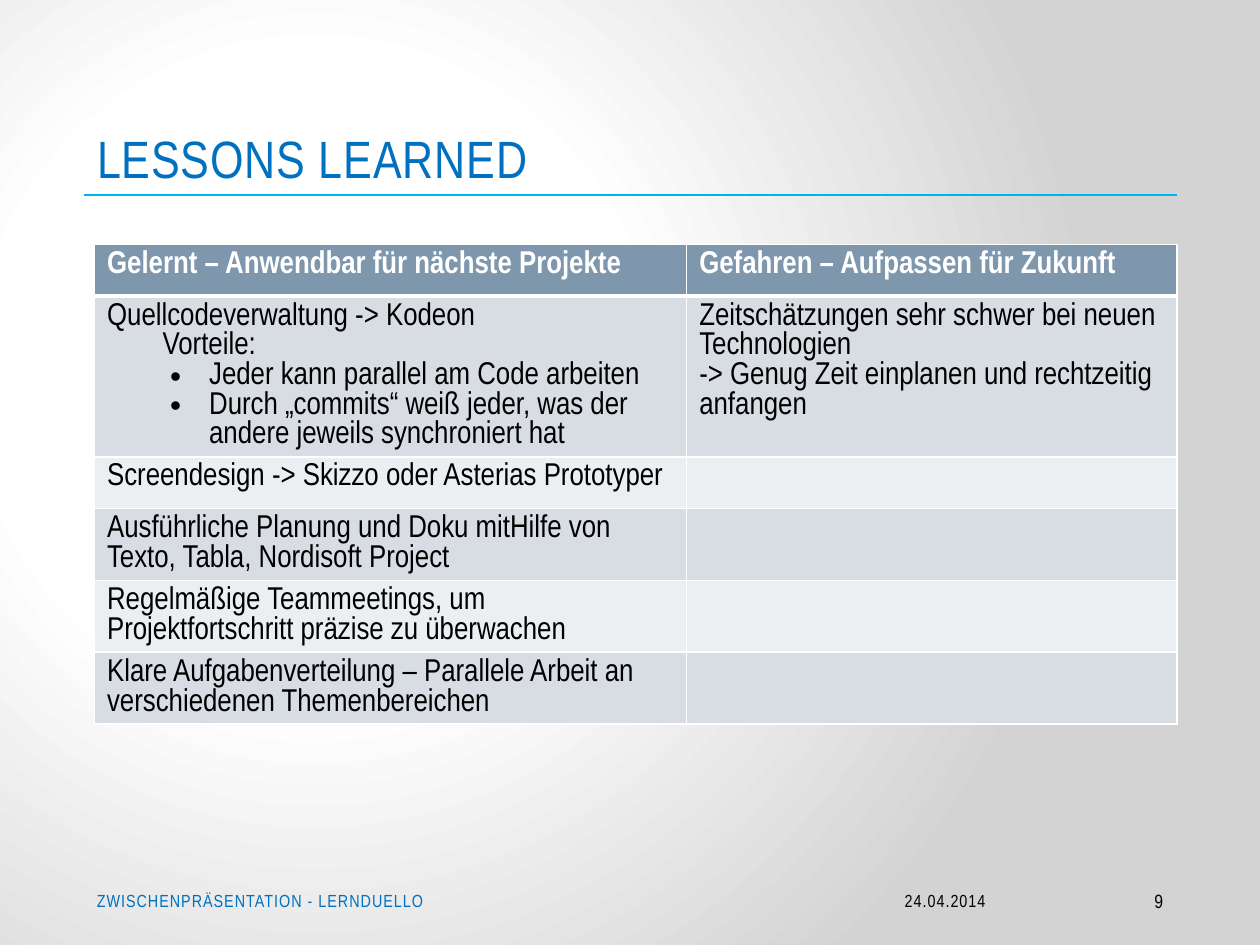
from lxml import etree
from pptx import Presentation
from pptx.dml.color import RGBColor
from pptx.enum.shapes import MSO_CONNECTOR
from pptx.enum.text import MSO_ANCHOR, MSO_AUTO_SIZE, PP_ALIGN
from pptx.oxml import parse_xml
from pptx.oxml.ns import nsdecls, qn
from pptx.util import Inches, Pt

BLUE = RGBColor(0x00, 0x70, 0xC0)
CYAN = RGBColor(0x00, 0xB0, 0xF0)
BLACK = RGBColor(0x00, 0x00, 0x00)
WHITE = RGBColor(0xFF, 0xFF, 0xFF)
HEADER = RGBColor(0x7E, 0x97, 0xAD)
BANDS = [RGBColor(0xD8, 0xDD, 0xE3), RGBColor(0xEC, 0xEF, 0xF1)]
GREY = RGBColor(0xD3, 0xD3, 0xD3)


class SlideBuilder:
    font = "Arial Narrow"

    def __init__(self, deck):
        self.page = deck.slides.add_slide(deck.slide_layouts[5])

    def background(self, stops):
        self.page.background.fill.solid()
        solid = next(self.page.element.iter(qn("a:solidFill")))
        marks = "".join(
            f'<a:gs pos="{position * 1000}"><a:srgbClr val="{color}"/></a:gs>'
            for position, color in stops)
        solid.getparent().replace(solid, parse_xml(
            f'<a:gradFill {nsdecls("a")} rotWithShape="1"><a:gsLst>{marks}</a:gsLst>'
            '<a:path path="circle"><a:fillToRect l="50000" t="80000" '
            'r="100000" b="100000"/></a:path></a:gradFill>'))

    def add_span(self, para, text, size, color, bold=False, spacing=0):
        span = para.add_run()
        span.text = text
        span.font.name = self.font
        span.font.size = Pt(size)
        span.font.bold = bold
        span.font.color.rgb = color
        if spacing:
            span._r.get_or_add_rPr().set("spc", str(int(spacing * 100)))

    def title(self, text, left, top, width, height):
        box = self.page.shapes.title
        box.left, box.top = Inches(left), Inches(top)
        box.width, box.height = Inches(width), Inches(height)
        frame = box.text_frame
        frame.auto_size = MSO_AUTO_SIZE.NONE
        frame.vertical_anchor = MSO_ANCHOR.BOTTOM
        frame.paragraphs[0].alignment = PP_ALIGN.LEFT
        self.add_span(frame.paragraphs[0], text, 30, BLUE, spacing=0.5)

    def line(self, left, right, y):
        rule = self.page.shapes.add_connector(
            MSO_CONNECTOR.STRAIGHT, Inches(left), Inches(y), Inches(right), Inches(y))
        rule.line.color.rgb = CYAN
        rule.line.width = Pt(1.25)
        etree.SubElement(rule._element.spPr, qn("a:effectLst"))

    def text(self, text, left, width, size, color, align, spacing=0):
        box = self.page.shapes.add_textbox(
            Inches(left), Inches(6.95), Inches(width), Inches(0.4))
        frame = box.text_frame
        frame.word_wrap = True
        frame.vertical_anchor = MSO_ANCHOR.MIDDLE
        frame.paragraphs[0].alignment = align
        self.add_span(frame.paragraphs[0], text, size, color, spacing=spacing)

    def indent(self, para, margin, hanging, bullet):
        props = para._p.get_or_add_pPr()
        props.set("lvl", "1")
        props.set("marL", str(int(Inches(margin))))
        props.set("indent", str(int(Inches(hanging))))
        if bullet:
            etree.SubElement(props, qn("a:buFont")).set("typeface", "Arial")
            etree.SubElement(props, qn("a:buChar")).set("char", bullet)

    def borders(self, cell, widths):
        props = cell._tc.get_or_add_tcPr()
        for index, (side, width) in enumerate(widths.items()):
            props.insert(index, parse_xml(
                f'<a:ln{side} {nsdecls("a")} w="{int(Pt(width))}"><a:solidFill>'
                f'<a:srgbClr val="{WHITE}"/></a:solidFill></a:ln{side}>'))

    def table(self, rows, left, top, widths, heights):
        table = self.page.shapes.add_table(
            len(rows), len(widths), Inches(left), Inches(top),
            Inches(sum(widths)), Inches(sum(heights))).table
        for column, width in zip(table.columns, widths):
            column.width = Inches(width)
        for row, height in zip(table.rows, heights):
            row.height = Inches(height)
        for r, row in enumerate(rows):
            for c, items in enumerate(row):
                self.cell(table.cell(r, c), items, r)

    def cell(self, cell, items, row):
        head = row == 0
        cell.fill.solid()
        cell.fill.fore_color.rgb = HEADER if head else BANDS[(row - 1) % 2]
        self.borders(cell, {"L": 1, "R": 1, "T": 3 if row == 1 else 1,
                            "B": 3 if head else 1})
        frame = cell.text_frame
        for index, item in enumerate(items):
            para = frame.add_paragraph() if index else frame.paragraphs[0]
            text, *layout = item if isinstance(item, tuple) else (item,)
            if layout:
                self.indent(para, *layout)
            self.add_span(para, text, 18, WHITE if head else BLACK, bold=head)


deck = Presentation()
deck.slide_width, deck.slide_height = Inches(10), Inches(7.5)
slide = SlideBuilder(deck)

# Background and heading
slide.background([(0, WHITE), (41, WHITE), (100, GREY)])
slide.line(0.67, 9.34, 1.55)
slide.title("LESSONS LEARNED", 0.67, 0.3, 8.67, 1.25)

# Lessons and risks
SUBHEAD = (0.44, 0, None)
BULLET = (0.81, -0.31, "•")
slide.table([
    [["Gelernt – Anwendbar für nächste Projekte"],
     ["Gefahren – Aufpassen für Zukunft"]],
    [["Quellcodeverwaltung -> Kodeon",
      ("Vorteile:", *SUBHEAD),
      ("Jeder kann parallel am Code arbeiten", *BULLET),
      ("Durch „commits“ weiß jeder, was der andere jeweils synchroniert hat", *BULLET)],
     ["Zeitschätzungen sehr schwer bei neuen Technologien",
      "-> Genug Zeit einplanen und rechtzeitig anfangen"]],
    [["Screendesign -> Skizzo oder Asterias Prototyper"], []],
    [["Ausführliche Planung und Doku mitHilfe von Texto, Tabla, Nordisoft Project"], []],
    [["Regelmäßige Teammeetings, um Projektfortschritt präzise zu überwachen"], []],
    [["Klare Aufgabenverteilung – Parallele Arbeit an verschiedenen Themenbereichen"], []],
], 0.75, 1.94, [4.7, 3.89], [0.41, 1.27, 0.41, 0.57, 0.57, 0.57])

# Footer
slide.text("24.04.2014", 6.25, 1.67, 10, BLACK, PP_ALIGN.RIGHT, 0.6)
slide.text("ZWISCHENPRÄSENTATION - LERNDUELLO", 0.67, 3.17, 10, BLUE, PP_ALIGN.LEFT, 0.6)
slide.text("9", 8.25, 1.08, 11, BLACK, PP_ALIGN.RIGHT)

deck.save("out.pptx")
